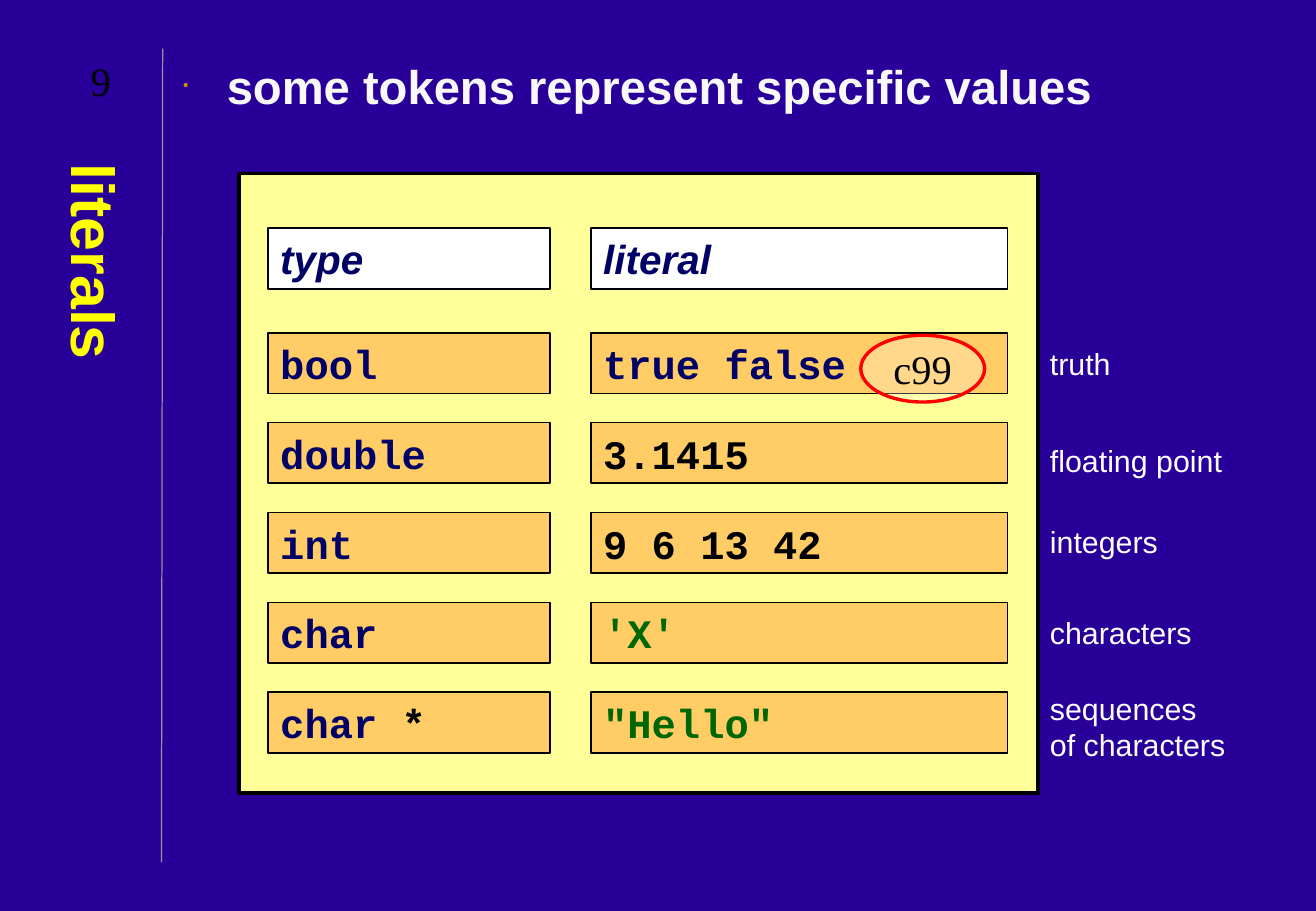
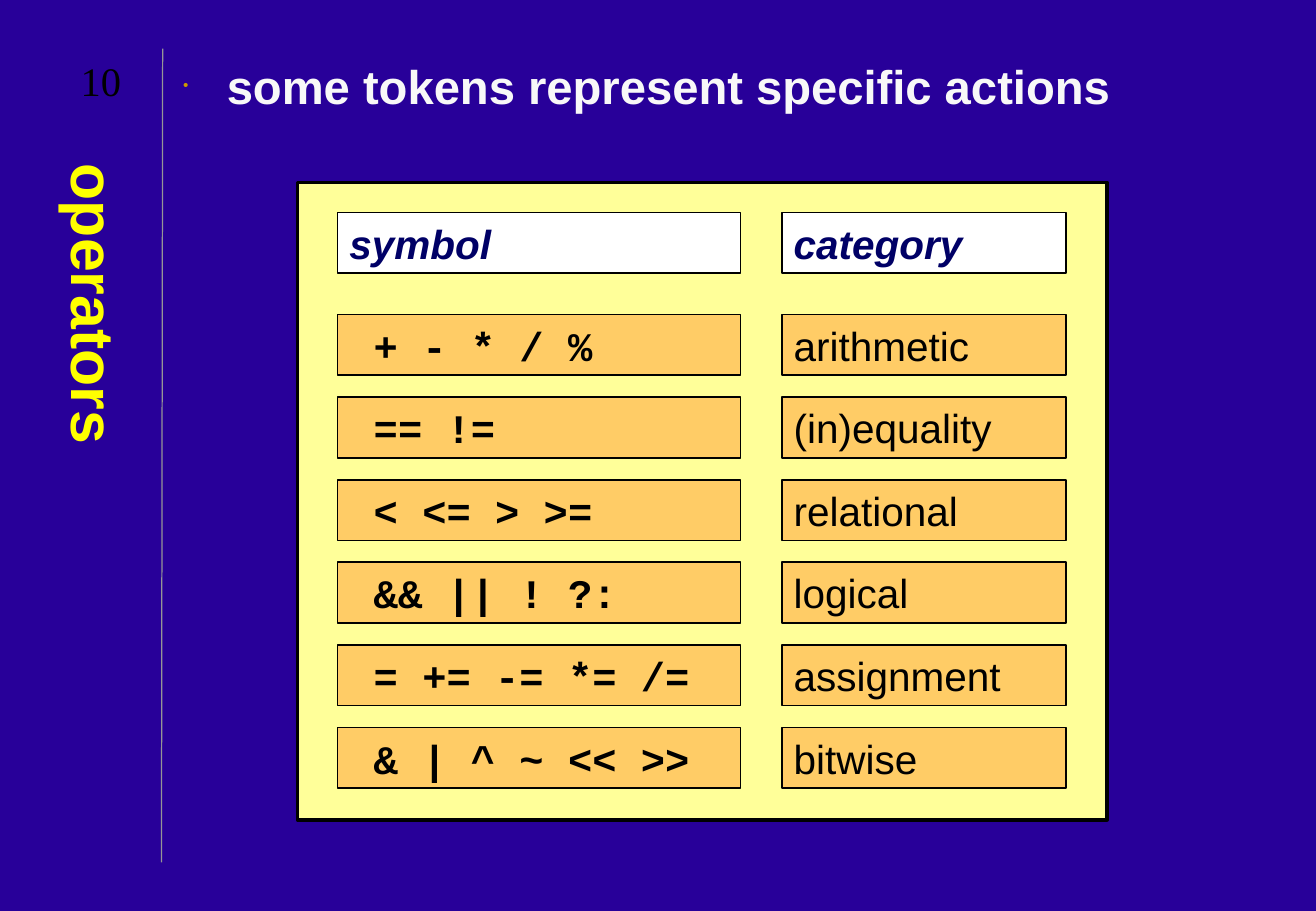
from lxml.etree import SubElement
from pptx import Presentation
from pptx.dml.color import RGBColor
from pptx.enum.shapes import MSO_CONNECTOR, MSO_SHAPE
from pptx.enum.text import MSO_ANCHOR, PP_ALIGN
from pptx.oxml.ns import qn
from pptx.util import Inches, Pt

BACKGROUND = RGBColor(0x28, 0x00, 0x99)
RULE = RGBColor(0x96, 0x96, 0x96)
YELLOW = RGBColor(0xFF, 0xFF, 0x00)
PANEL = RGBColor(0xFF, 0xFF, 0x99)
ORANGE = RGBColor(0xFF, 0xCC, 0x66)
WHITE = RGBColor(0xFF, 0xFF, 0xFF)
OFF_WHITE = RGBColor(0xF8, 0xF8, 0xF8)
BLACK = RGBColor(0x00, 0x00, 0x00)
NAVY = RGBColor(0x00, 0x00, 0x66)
GREEN = RGBColor(0x00, 0x66, 0x00)
RED = RGBColor(0xFF, 0x00, 0x00)

SANS = "Arial"
MONO = "Courier New"
SERIF = "Times New Roman"
ROW_HEIGHT = 0.5


def add_box(page, place, fill=None, border=BLACK, weight=1, kind=MSO_SHAPE.RECTANGLE):
    lengths = [Inches(value) for value in place]
    if fill is None:
        return page.shapes.add_textbox(*lengths)
    box = page.shapes.add_shape(kind, *lengths)
    box.shadow.inherit = False
    box.fill.solid()
    box.fill.fore_color.rgb = fill
    box.line.color.rgb = border
    box.line.width = Pt(weight)
    return box


def write(box, lines, font, size, bold=False, italic=False,
          anchor=MSO_ANCHOR.TOP, align=PP_ALIGN.LEFT):
    frame = box.text_frame
    frame.word_wrap = True
    frame.vertical_anchor = anchor
    for index, spans in enumerate(lines):
        para = frame.add_paragraph() if index else frame.paragraphs[0]
        para.alignment = align
        for text, color in spans:
            span = para.add_run()
            span.text = text
            span.font.name = font
            span.font.size = Pt(size)
            span.font.bold = bold
            span.font.italic = italic
            span.font.color.rgb = color
    return frame


SLIDES = [
    {
        "number": "9",
        "title": "literals",
        "statement": "some tokens represent specific values",
        "panel": (1.97, 1.43, 6.58, 5.1),
        "columns": [(2.21, 2.32, MONO, True), (4.87, 3.43, MONO, True)],
        "headings": ["type", "literal"],
        "heading_top": 1.88,
        "first_row": 2.74,
        "row_step": 0.74,
        "rows": [
            ([("bool", NAVY)], [("true false", NAVY)]),
            ([("double", NAVY)], [("3.1415", BLACK)]),
            ([("int", NAVY)], [("9 6 13 42", BLACK)]),
            ([("char", NAVY)], [("'X'", GREEN)]),
            ([("char ", NAVY), ("*", BLACK)], [('"Hello"', GREEN)]),
        ],
        "notes": [
            (2.79, ["truth"]),
            (3.59, ["floating point"]),
            (4.26, ["integers"]),
            (5.01, ["characters"]),
            (5.63, ["sequences", "of characters"]),
        ],
        "badge": "c99",
    },
    {
        "number": "10",
        "title": "operators",
        "statement": "some tokens represent specific actions",
        "panel": (2.45, 1.5, 6.67, 5.25),
        "columns": [(2.78, 3.32, MONO, True), (6.44, 2.34, SANS, False)],
        "headings": ["symbol", "category"],
        "heading_top": 1.75,
        "first_row": 2.59,
        "row_step": 0.68,
        "rows": [
            ([(" + - * / %", BLACK)], [("arithmetic", BLACK)]),
            ([(" == !=", BLACK)], [("(in)equality", BLACK)]),
            ([(" < <= > >=", BLACK)], [("relational", BLACK)]),
            ([(" && || ! ?:", BLACK)], [("logical", BLACK)]),
            ([(" = += -= *= /=", BLACK)], [("assignment", BLACK)]),
            ([(" & | ^ ~ << >>", BLACK)], [("bitwise", BLACK)]),
        ],
        "notes": [],
        "badge": None,
    },
]

deck = Presentation()
deck.slide_width = Inches(10.84)
deck.slide_height = Inches(7.5)
backdrop = deck.slide_master.background.fill
backdrop.solid()
backdrop.fore_color.rgb = BACKGROUND

for content in SLIDES:
    page = deck.slides.add_slide(deck.slide_layouts[6])

    rule = page.shapes.add_connector(
        MSO_CONNECTOR.STRAIGHT, Inches(1.33), Inches(7.1), Inches(1.34), Inches(0.4))
    rule.line.color.rgb = RULE
    rule.line.width = Pt(0.75)
    SubElement(rule.element.spPr, qn("a:effectLst"))

    title = add_box(page, (0.33, 1.25, 0.92, 5.83))
    frame = write(title, [[(content["title"], YELLOW)]], SANS, 36, bold=True,
                  anchor=MSO_ANCHOR.MIDDLE)
    frame.margin_left = frame.margin_right = Inches(0.05)
    frame.margin_top = frame.margin_bottom = Inches(0.1)
    title.element.txBody.find(qn("a:bodyPr")).set("vert", "eaVert")

    statement = add_box(page, (1.41, 0.42, 8.92, 0.6))
    frame = write(statement, [[(content["statement"], OFF_WHITE)]], SANS, 28, bold=True)
    properties = frame.paragraphs[0]._p.get_or_add_pPr()
    properties.set("marL", str(Inches(0.36)))
    properties.set("indent", str(-Inches(0.36)))
    bullet_color = SubElement(properties, qn("a:buClr"))
    SubElement(bullet_color, qn("a:srgbClr"), val="CC9900")
    SubElement(properties, qn("a:buSzPct"), val="32000")
    SubElement(properties, qn("a:buFont"), typeface=SANS)
    SubElement(properties, qn("a:buChar"), char="•")

    add_box(page, content["panel"], PANEL, weight=2)
    for column, (left, width, font, bold) in enumerate(content["columns"]):
        heading = add_box(page, (left, content["heading_top"], width, ROW_HEIGHT), WHITE)
        write(heading, [[(content["headings"][column], NAVY)]], SANS, 24,
              bold=True, italic=True)
        for index, row in enumerate(content["rows"]):
            top = content["first_row"] + index * content["row_step"]
            cell = add_box(page, (left, top, width, ROW_HEIGHT), ORANGE)
            write(cell, [row[column]], font, 24, bold=bold)

    for top, lines in content["notes"]:
        note = add_box(page, (8.55, top, 1.75, 0.1 + 0.3 * len(lines)))
        write(note, [[(line, WHITE)] for line in lines], SANS, 18)

    if content["badge"]:
        badge = add_box(page, (7.09, 2.76, 1.02, 0.55), WHITE, RED, 2, MSO_SHAPE.OVAL)
        frame = write(badge, [[(content["badge"], BLACK)]], SERIF, 24,
                      anchor=MSO_ANCHOR.MIDDLE, align=PP_ALIGN.CENTER)
        frame.word_wrap = False
        fill_color = badge.element.spPr.find(qn("a:solidFill")).find(qn("a:srgbClr"))
        SubElement(fill_color, qn("a:alpha"), val="25000")

    number = add_box(page, (0.42, 0.41, 0.82, 0.5))
    write(number, [[(content["number"], BLACK)]], SERIF, 24,
          anchor=MSO_ANCHOR.MIDDLE, align=PP_ALIGN.CENTER)

deck.save("out.pptx")
